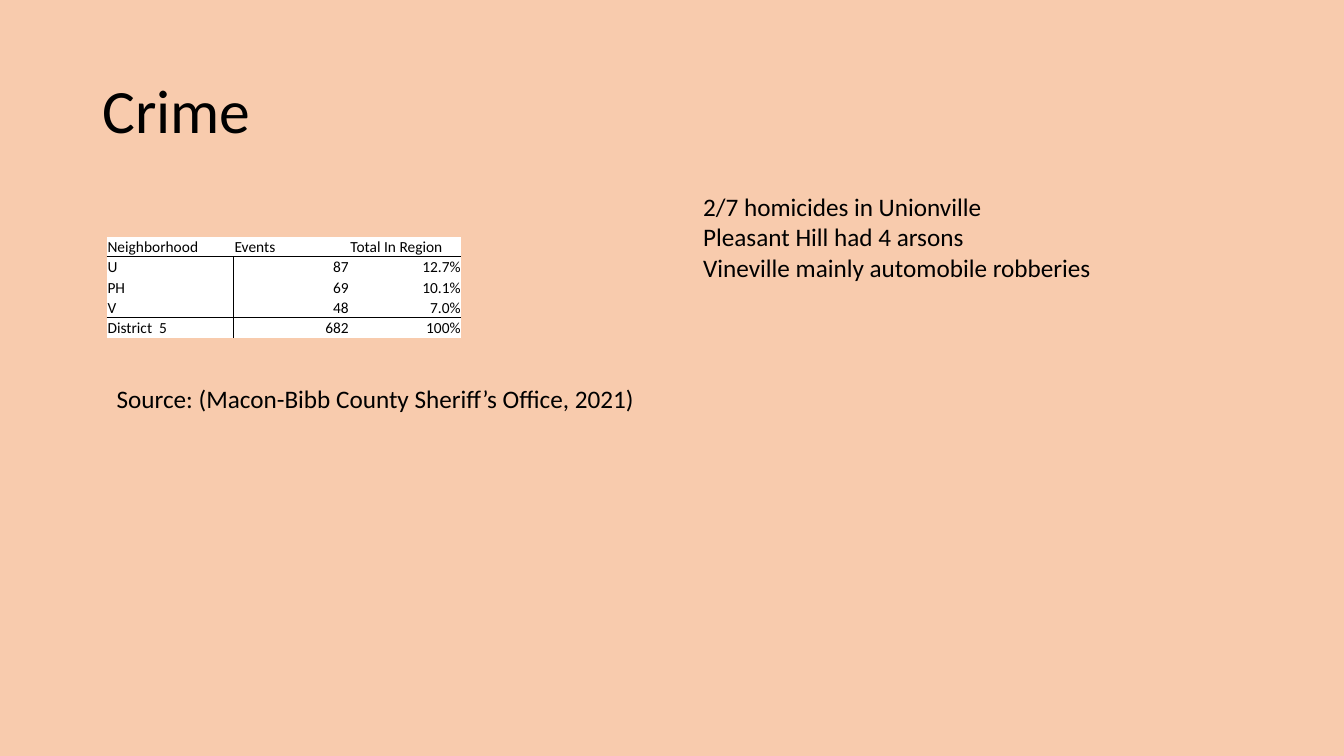
from lxml import etree
from pptx import Presentation
from pptx.dml.color import RGBColor
from pptx.enum.text import MSO_ANCHOR, MSO_AUTO_SIZE, PP_ALIGN
from pptx.oxml.ns import qn
from pptx.util import Cm, Pt

TOP, MIDDLE, BOTTOM = MSO_ANCHOR.TOP, MSO_ANCHOR.MIDDLE, MSO_ANCHOR.BOTTOM
LEFT, RIGHT = PP_ALIGN.LEFT, PP_ALIGN.RIGHT
FIT_SHAPE, NO_FIT = MSO_AUTO_SIZE.SHAPE_TO_FIT_TEXT, MSO_AUTO_SIZE.NONE

PEACH, WHITE, BLACK = "F8CBAD", "FFFFFF", "000000"

CRIME_ROWS = [
    ("Neighborhood", "Events", "Total In Region"),
    ("U", "87", "12.7%"),
    ("PH", "69", "10.1%"),
    ("V", "48", "7.0%"),
    ("District  5", "682", "100%"),
]
COL_WIDTHS = (3.2, 2.92, 2.82)
ROW_HEIGHT = 0.51


def rgb(value):
    return RGBColor.from_string(value)


def set_all(target, values):
    for name, value in values.items():
        setattr(target, name, value)


class SlideBuilder:
    font = "Calibri"
    color = BLACK
    line_width = Pt(0.5)

    def __init__(self, s, background):
        self.s = s
        fill = s.background.fill
        fill.solid()
        fill.fore_color.rgb = rgb(background)

    def add_text(self, p, text, size, **paragraph_format):
        set_all(p, paragraph_format)
        r = p.add_run()
        r.text = text
        set_all(r.font, {"name": self.font, "size": Pt(size), "bold": False})
        r.font.color.rgb = rgb(self.color)

    def text(self, box, lines, size, line_spacing=1.0, **frame_format):
        sp = self.s.shapes.add_textbox(*map(Cm, box))
        tf = sp.text_frame
        set_all(tf, {"word_wrap": True, "auto_size": FIT_SHAPE, **frame_format})
        for i, line in enumerate(lines):
            p = tf.add_paragraph() if i else tf.paragraphs[0]
            self.add_text(p, line, size, line_spacing=line_spacing)

    def borders(self, cell, visible):
        tc_pr = cell._tc.get_or_add_tcPr()
        for side in "LRTB":
            ln = etree.SubElement(tc_pr, qn(f"a:ln{side}"), w=str(self.line_width))
            if side in visible:
                fill = etree.SubElement(ln, qn("a:solidFill"))
                etree.SubElement(fill, qn("a:srgbClr"), val=self.color)
            else:
                etree.SubElement(ln, qn("a:noFill"))

    def table(self, left, top, rows, widths, row_height, size):
        box = (left, top, sum(widths), row_height * len(rows))
        table = self.s.shapes.add_table(len(rows), len(widths), *map(Cm, box)).table
        set_all(table, {"first_row": False, "horz_banding": False})
        for col, width in zip(table.columns, widths):
            col.width = Cm(width)
        last = len(rows) - 1
        for i, values in enumerate(rows):
            table.rows[i].height = Cm(row_height)
            for j, value in enumerate(values):
                cell = table.cell(i, j)
                # Rules below the header, above the total and beside the names
                visible = "T" if i in (1, last) else ""
                visible += "B" if i in (0, last - 1) else ""
                if i and j < 2:
                    visible += "RL"[j]
                self.borders(cell, visible)
                cell.fill.solid()
                cell.fill.fore_color.rgb = rgb(WHITE)
                set_all(cell, {
                    "margin_left": Cm(0.02), "margin_right": Cm(0.02),
                    "margin_top": Cm(0.02), "margin_bottom": 0,
                    "vertical_anchor": BOTTOM,
                })
                self.add_text(cell.text_frame.paragraphs[0], value, size,
                              alignment=RIGHT if i and j else LEFT)


def main():
    prs = Presentation()
    set_all(prs, {"slide_width": Cm(33.87), "slide_height": Cm(19.05)})
    slide = SlideBuilder(prs.slides.add_slide(prs.slide_layouts[6]), PEACH)

    # Title
    slide.text((2.33, 1.01, 29.21, 3.68), ["Crime"], 44, line_spacing=0.9,
               vertical_anchor=MIDDLE, auto_size=NO_FIT)

    # Crime table
    slide.table(2.69, 5.96, CRIME_ROWS, COL_WIDTHS, ROW_HEIGHT, 11)

    # Findings
    slide.text((17.47, 4.7, 11.71, 2.56), [
        "2/7 homicides in Unionville",
        "Pleasant Hill had 4 arsons",
        "Vineville mainly automobile robberies",
    ], 18, vertical_anchor=TOP)

    # Source line
    slide.text((2.69, 9.53, 13.74, 1.03),
               ["Source: (Macon-Bibb County Sheriff’s Office, 2021)"], 18,
               word_wrap=False)

    prs.save("out.pptx")


if __name__ == "__main__":
    main()
